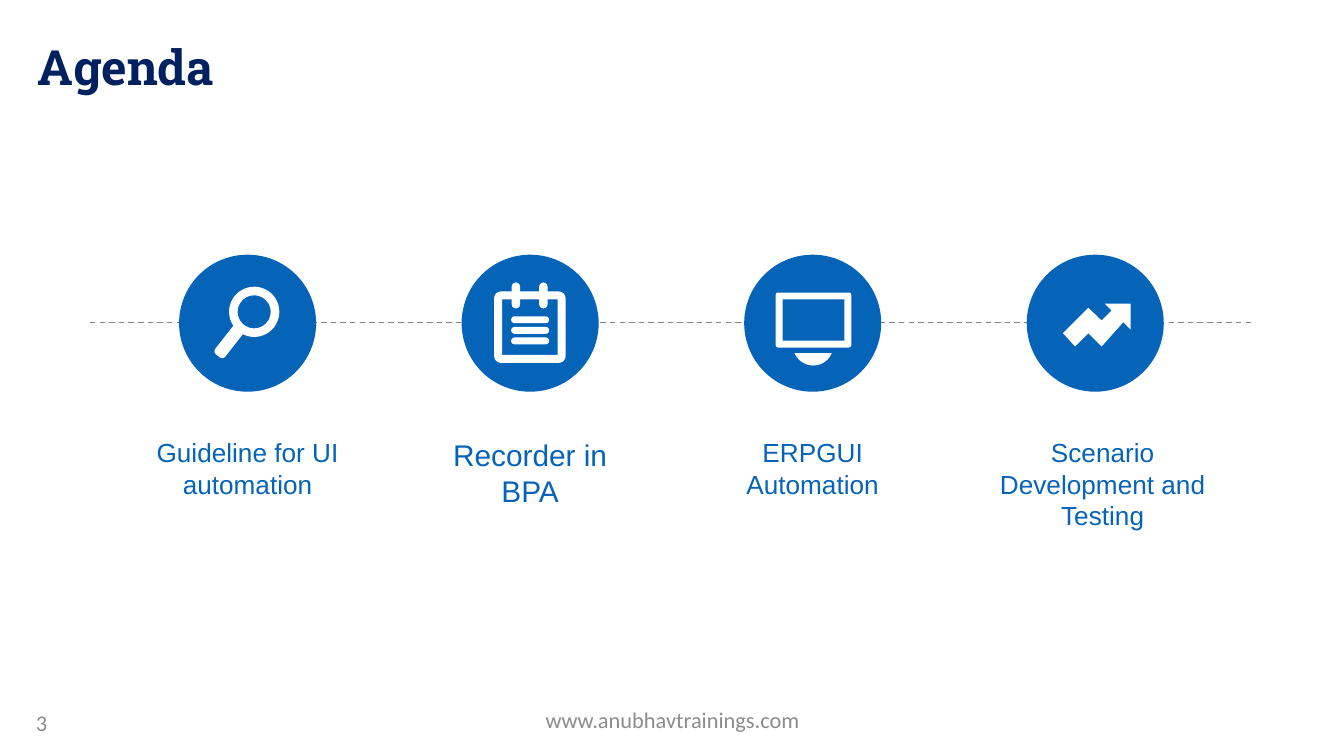
import math

import pptx
import pptx.dml.color
import pptx.enum.dml
import pptx.enum.shapes
import pptx.enum.text
import pptx.util
from pptx.util import Cm

RGBColor = pptx.dml.color.RGBColor
SHAPE = pptx.enum.shapes.MSO_SHAPE
ALIGN = pptx.enum.text.PP_ALIGN
ANCHOR = pptx.enum.text.MSO_ANCHOR

BLUE = RGBColor(0x05, 0x63, 0xB8)
NAVY = RGBColor(0x00, 0x20, 0x60)
SKY = RGBColor(0x00, 0x70, 0xC0)
WHITE = RGBColor(0xFF, 0xFF, 0xFF)
LINE_GRAY = RGBColor(0x80, 0x80, 0x80)
FOOTER_GRAY = RGBColor(0x8C, 0x8C, 0x8C)

# Timeline grid, in centimetres
FIRST_X, PITCH, CENTRE_Y = 4.68, 5.34, 6.11
DISC = 2.59
LABEL_TOP, LABEL_WIDTH = 8.13, 4.45

# Label text, size, height and shift from the grid
TOPICS = [
    ("Guideline for UI automation", 14, 1.45, 0),
    ("Recorder in BPA", 16, 1.63, 0),
    ("ERPGUI Automation", 14, 1.45, 0),
    ("Scenario Development and Testing", 14, 2.06, 0.14),
]

TREND_ARROW = [
    (0.18, -0.37), (0.67, -0.37), (0.67, 0.12), (0.53, -0.02),
    (0.12, 0.44), (-0.13, 0.19), (-0.38, 0.44), (-0.61, 0.19),
    (-0.13, -0.29), (0.12, -0.05), (0.31, -0.24),
]


def add_text(page, text, place, font, align=ALIGN.LEFT, anchor=ANCHOR.TOP):
    box = page.shapes.add_textbox(*map(Cm, place))
    frame = box.text_frame
    for name, value in {"word_wrap": True, "vertical_anchor": anchor}.items():
        setattr(frame, name, value)
    para = frame.paragraphs[0]
    para.alignment = align
    span = para.add_run()
    span.text = text
    color = font.get("color")
    for name, value in font.items():
        if name != "color":
            setattr(span.font, name, value)
    if color is not None:
        span.font.color.rgb = color
    return span


def paint(shape, color):
    shape.shadow.inherit = False
    shape.fill.solid()
    shape.fill.fore_color.rgb = color
    shape.line.fill.background()
    return shape


def add_preset(page, kind, left, top, width, height, color=WHITE, adjust=None):
    shape = page.shapes.add_shape(kind, Cm(left), Cm(top), Cm(width), Cm(height))
    if adjust is not None:
        shape.adjustments[0] = adjust
    return paint(shape, color)


def add_outline(page, *contours):
    """Draw one white shape; a second contour cuts a hole."""
    contours = [[(Cm(x), Cm(y)) for x, y in points] for points in contours]
    builder = page.shapes.build_freeform(*contours[0][0])
    for number, points in enumerate(contours):
        if number:
            builder.move_to(*points[0])
        builder.add_line_segments(points[1:], close=True)
    return paint(builder.convert_to_shape(), WHITE)


def arc(x, y, radius, start, end, steps):
    angles = [math.radians(start + (end - start) * i / steps) for i in range(steps + 1)]
    return [(x + radius * math.cos(a), y + radius * math.sin(a)) for a in angles]


def add_frame(page, left, top, width, height, radius, border):
    right, bottom = left + width, top + height
    corners = [
        (right - radius, bottom - radius), (left + radius, bottom - radius),
        (left + radius, top + radius), (right - radius, top + radius),
    ]
    outer = [point for i, (x, y) in enumerate(corners)
             for point in arc(x, y, radius, 90 * i, 90 * i + 90, 6)]
    hole = [
        (left + border, top + border), (left + border, bottom - border),
        (right - border, bottom - border), (right - border, top + border),
    ]
    add_outline(page, outer, hole)


def add_magnifier(page, x, y):
    add_preset(page, SHAPE.DONUT, x - 0.35, y - 0.69, 0.95, 0.95, adjust=0.17)
    handle = add_preset(page, SHAPE.ROUNDED_RECTANGLE,
                        x - 0.47, y, 0.24, 0.69, adjust=0.3)
    handle.rotation = 38


def add_notepad(page, x, y):
    add_frame(page, x - 0.68, y - 0.6, 1.35, 1.35, 0.13, 0.15)
    bars = [(dx, -0.77, 0.16, 0.49) for dx in (-0.35, 0.17)]
    bars += [(-0.36, -0.13 + 0.2 * row, 0.72, 0.13) for row in range(3)]
    for dx, dy, width, height in bars:
        add_preset(page, SHAPE.ROUNDED_RECTANGLE, x + dx, y + dy, width, height,
                   adjust=0.5)


def add_monitor(page, x, y):
    add_frame(page, x - 0.7, y - 0.58, 1.43, 1.04, 0.05, 0.13)
    # Stand: the bottom slice of a circle
    add_outline(page, arc(x + 0.01, y + 0.42, 0.38, 23, 157, 24))


def add_trend(page, x, y):
    add_outline(page, [(x + dx, y + dy) for dx, dy in TREND_ARROW])


def add_timeline(page):
    line = page.shapes.add_connector(
        pptx.enum.shapes.MSO_CONNECTOR.STRAIGHT, Cm(1.7), Cm(6.09), Cm(23.7), Cm(6.09))
    line.line.color.rgb = LINE_GRAY
    formats = {"width": pptx.util.Pt(0.75),
               "dash_style": pptx.enum.dml.MSO_LINE.DASH}
    for name, value in formats.items():
        setattr(line.line, name, value)
    line._element.spPr.append(pptx.oxml.xmlchemy.OxmlElement("a:effectLst"))


def add_title(page):
    font = {"size": pptx.util.Pt(26), "name": "Roboto Slab", "bold": True}
    span = add_text(page, "Agenda", (0.46, 0.58, 22.86, 1.47), font)
    fill = span.font.fill
    fill.gradient()
    fill.gradient_angle = 270
    for stop, color in zip(fill.gradient_stops, (NAVY, SKY)):
        stop.color.rgb = color


def add_footer(page):
    font = {"size": pptx.util.Pt(12), "name": "Calibri", "color": FOOTER_GRAY}
    add_text(page, "www.anubhavtrainings.com", (8.69, 13.23, 8.05, 0.76), font,
             ALIGN.CENTER, ANCHOR.MIDDLE)
    add_text(page, "3", (0.43, 13.28, 5.92, 0.76), font, anchor=ANCHOR.MIDDLE)


def main():
    deck = pptx.Presentation()
    deck.slide_width, deck.slide_height = Cm(25.4), Cm(14.29)
    page = deck.slides.add_slide(deck.slide_layouts[6])

    add_timeline(page)
    add_footer(page)
    add_title(page)

    # Discs with icons, and a label below each
    icons = [add_magnifier, add_notepad, add_monitor, add_trend]
    for i, (add_icon, topic) in enumerate(zip(icons, TOPICS)):
        text, size, height, shift = topic
        x = FIRST_X + PITCH * i
        add_preset(page, SHAPE.OVAL, x - DISC / 2, CENTRE_Y - DISC / 2,
                   DISC, DISC, BLUE)
        add_icon(page, x, CENTRE_Y)
        font = {"size": pptx.util.Pt(size), "name": "Arial", "color": BLUE}
        add_text(page, text, (x - LABEL_WIDTH / 2 + shift, LABEL_TOP,
                              LABEL_WIDTH, height), font, ALIGN.CENTER)

    deck.save("out.pptx")


if __name__ == "__main__":
    main()
